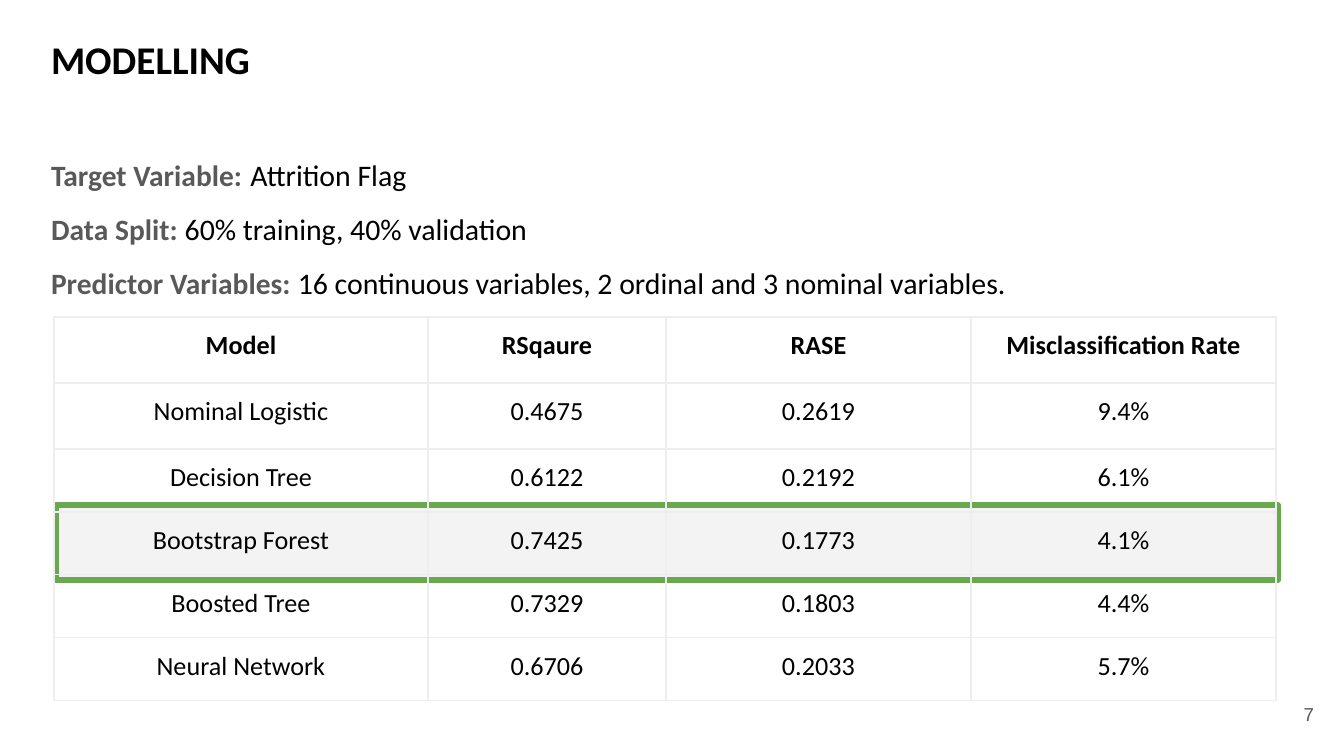
from dataclasses import dataclass

from pptx import Presentation
from pptx import util as u
from pptx.dml.color import RGBColor
from pptx.enum import shapes, text
from pptx.oxml import parse_xml
from pptx.oxml.ns import nsdecls

SCALE = 914400 / 134.4  # EMU per pixel
COLORS = {
    "ink": "000000",
    "label": "595959",
    "highlight": "F3F3F3",
    "frame": "6AA84F",
    "grid": "EEEEEE",
}
FONT = "Calibri"
ALIGN = text.PP_ALIGN
PADDING = 13


@dataclass
class Box:
    left: int
    top: int
    width: int
    height: int

    def emu(self) -> list[u.Emu]:
        return [px(v) for v in (self.left, self.top, self.width, self.height)]


@dataclass
class Fact:
    label: str
    value: str
    gap_size: float = 16


FACTS = [
    Fact("Target Variable:", "Attrition Flag", 18.8),
    Fact("Data Split:", "60% training, 40% validation"),
    Fact("Predictor Variables:",
         "16 continuous variables, 2 ordinal and 3 nominal variables."),
]
RESULTS = [
    ("Model", "RSqaure", "RASE", "Misclassification Rate"),
    ("Nominal Logistic", "0.4675", "0.2619", "9.4%"),
    ("Decision Tree", "0.6122", "0.2192", "6.1%"),
    ("Bootstrap Forest", "0.7425", "0.1773", "4.1%"),
    ("Boosted Tree", "0.7329", "0.1803", "4.4%"),
    ("Neural Network", "0.6706", "0.2033", "5.7%"),
]
COL_WIDTHS = [374, 238, 305, 305]
ROW_HEIGHTS = [66, 66, 63, 63, 63, 63]


def px(value: float) -> u.Emu:
    return u.Emu(round(value * SCALE))


def rgb(name: str) -> RGBColor:
    return RGBColor.from_string(COLORS[name])


def style(font, size: float, color: str = "ink", bold: bool = False,
          name: str = FONT) -> None:
    font.name, font.size, font.bold = name, u.Pt(size), bold
    font.color.rgb = rgb(color)


def pad(obj) -> None:
    obj.margin_left = obj.margin_right = px(PADDING)
    obj.margin_top = obj.margin_bottom = px(PADDING)


def setup_frame(sp, anchor=text.MSO_ANCHOR.TOP):
    tf = sp.text_frame
    pad(tf)
    tf.word_wrap = True
    tf.auto_size = text.MSO_AUTO_SIZE.NONE
    tf.vertical_anchor = anchor
    return tf


def add_run(p, content: str, size: float, color: str = "ink",
            bold: bool = False) -> None:
    r = p.add_run()
    r.text = content
    style(r.font, size, color, bold)


def set_borders(cell) -> None:
    tc_pr = cell._tc.get_or_add_tcPr()
    for i, side in enumerate("LRTB"):
        tc_pr.insert(i, parse_xml(
            f'<a:ln{side} {nsdecls("a")} w="{u.Pt(0.75)}"><a:solidFill>'
            f'<a:srgbClr val="{COLORS["grid"]}"/></a:solidFill></a:ln{side}>'))


def add_results(slide, left: int, top: int) -> None:
    box = Box(left, top, sum(COL_WIDTHS), sum(ROW_HEIGHTS))
    table = slide.shapes.add_table(
        len(RESULTS), len(COL_WIDTHS), *box.emu()).table
    table.horz_banding = table.first_row = False
    for column, width in zip(table.columns, COL_WIDTHS):
        column.width = px(width)
    for i, (row, height) in enumerate(zip(table.rows, ROW_HEIGHTS)):
        row.height = px(height)
        for cell, content in zip(row.cells, RESULTS[i]):
            cell.text = content
            cell.fill.background()
            pad(cell)
            set_borders(cell)
            p = cell.text_frame.paragraphs[0]
            p.alignment = ALIGN.CENTER
            style(p.font, 14, bold=i == 0)


prs = Presentation()
prs.slide_width, prs.slide_height = px(1344), px(756)
slide = prs.slides.add_slide(prs.slide_layouts[5])

# Title
title = slide.shapes.title
title.left, title.top, title.width, title.height = Box(38, 22, 879, 75).emu()
tf = setup_frame(title)
tf.text = "MODELLING"
tf.paragraphs[0].alignment = ALIGN.LEFT
style(tf.paragraphs[0].font, 21, bold=True)

# Frame behind the best model's row
frame = slide.shapes.add_shape(
    shapes.MSO_SHAPE.RECTANGLE, *Box(56, 505, 1222, 75).emu())
frame.shadow.inherit = False
frame.fill.solid()
frame.fill.fore_color.rgb = rgb("highlight")
frame.line.color.rgb = rgb("frame")
frame.line.width = u.Pt(3)

# Slide number
number = slide.shapes.add_textbox(*Box(1246, 685, 81, 58).emu())
tf = setup_frame(number, text.MSO_ANCHOR.MIDDLE)
tf.text = "7"
tf.paragraphs[0].alignment = ALIGN.RIGHT
style(tf.paragraphs[0].font, 10, "label", name="Arial")

# Modelling facts
tf = setup_frame(slide.shapes.add_textbox(*Box(38, 117, 1285, 181).emu()))
for i, fact in enumerate(FACTS):
    p = tf.add_paragraph() if i else tf.paragraphs[0]
    p.alignment = ALIGN.JUSTIFY
    p.line_spacing = 1.5
    add_run(p, fact.label, 15.8, "label", True)
    add_run(p, " ", fact.gap_size)
    add_run(p, fact.value, 16)

# Model comparison
add_results(slide, 54, 317)

prs.save("out.pptx")
